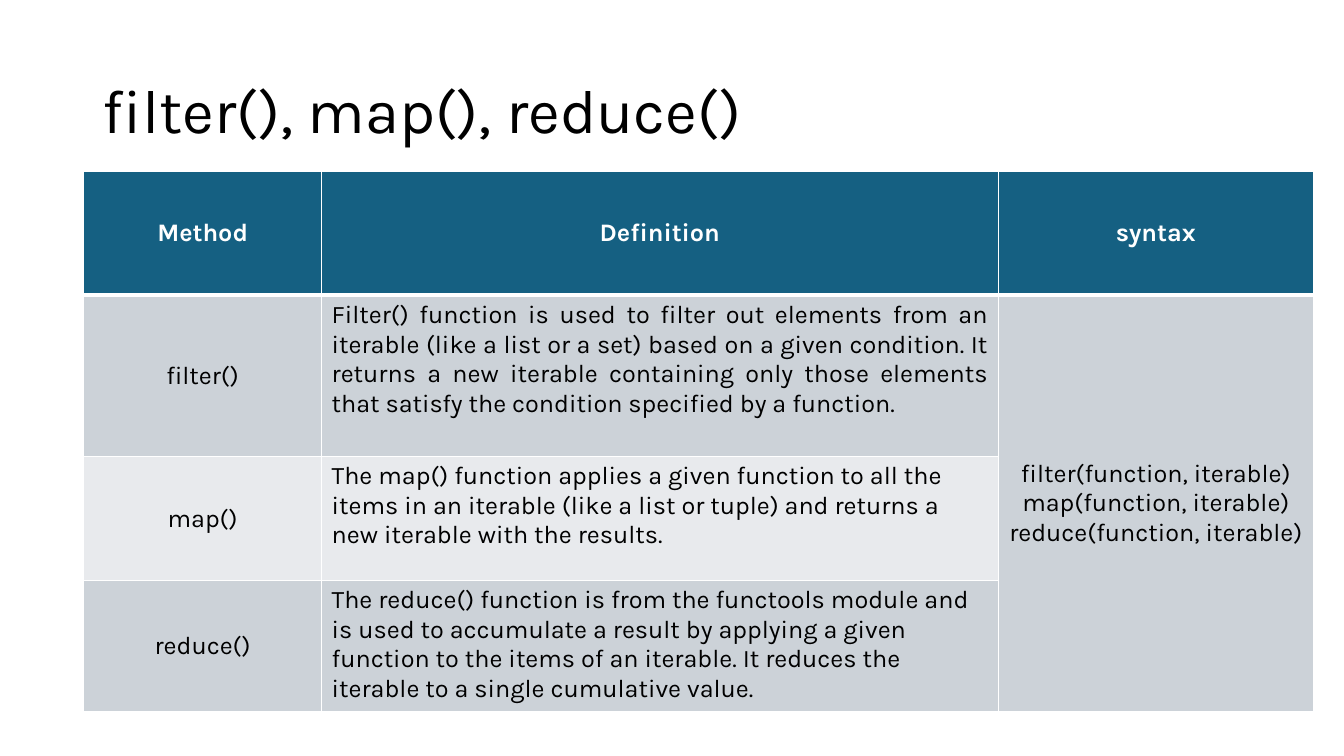
from pptx import Presentation
from pptx.dml.color import RGBColor
from pptx.enum.text import MSO_ANCHOR as Anchor, PP_ALIGN as Align
from pptx.oxml.ns import qn
from pptx.util import Inches, Pt
from lxml.etree import SubElement

FONT = "Karla"
WHITE, BLACK, TEAL = "FFFFFF", "000000", "156082"
BANDS = ("CCD2D8", "E8EAED")
COLUMN_WIDTHS = (2.36, 6.71, 3.13)
ROW_HEIGHTS = (1.23, 1.6, 1.23, 1.27)
HEADINGS = ("Method", "Definition", "syntax")
METHODS = (
    ("filter()",
     "Filter() function is used to filter out elements from an iterable (like a list or a set) "
     "based on a given condition. It returns a new iterable containing only those elements that "
     "satisfy the condition specified by a function.", Align.JUSTIFY),
    ("map()",
     "The map() function applies a given function to all the items in an iterable "
     "(like a list or tuple) and returns a new iterable with the results.", Align.LEFT),
    ("reduce()",
     "The reduce() function is from the functools module and is used to accumulate a result by "
     "applying a given function to the items of an iterable. It reduces the iterable to a single "
     "cumulative value.", Align.LEFT),
)
SYNTAX = "filter(function, iterable)\nmap(function, iterable)\nreduce(function, iterable)"


def rgb(value):
    """Turn a hex string into a colour."""
    return RGBColor.from_string(value)


def write(frame, text, size=18, color=BLACK, bold=False, align=Align.LEFT, spacing=1.0):
    """Fill a text frame with one formatted paragraph per line."""
    frame.text = text
    for paragraph in frame.paragraphs:
        paragraph.alignment = align
        paragraph.line_spacing = spacing
        for run in paragraph.runs:
            run.font.name = FONT
            run.font.size = Pt(size)
            run.font.bold = bold
            run.font.color.rgb = rgb(color)


def style_cell(cell, fill, top=1, bottom=1):
    """Give a cell white borders and a solid fill."""
    properties = cell._tc.get_or_add_tcPr()
    for side, width in (("L", 1), ("R", 1), ("T", top), ("B", bottom)):
        border = SubElement(properties, qn(f"a:ln{side}"), w=str(Pt(width)))
        SubElement(SubElement(border, qn("a:solidFill")), qn("a:srgbClr"), val=WHITE)
    cell.fill.solid()
    cell.fill.fore_color.rgb = rgb(fill)


def write_cell(cell, text, anchor=Anchor.MIDDLE, align=Align.CENTER, **text_format):
    """Write anchored text in a table cell."""
    write(cell.text_frame, text, align=align, **text_format)
    cell.vertical_anchor = anchor


def add_title(slide, left, top, width, height):
    """Place the slide title in the given box."""
    title = slide.shapes.add_textbox(Inches(left), Inches(top), Inches(width), Inches(height))
    title.text_frame.word_wrap = True
    title.text_frame.vertical_anchor = Anchor.MIDDLE
    write(title.text_frame, "filter(), map(), reduce()", size=44, spacing=0.9)


def add_methods_table(slide, left, top, width, height):
    """Place the table of methods in the given box."""
    table = slide.shapes.add_table(len(ROW_HEIGHTS), len(COLUMN_WIDTHS), Inches(left),
                                   Inches(top), Inches(width), Inches(height)).table
    table.horz_banding = False
    for column, share in zip(table.columns, COLUMN_WIDTHS):
        column.width = Inches(width * share / sum(COLUMN_WIDTHS))
    for row, share in zip(table.rows, ROW_HEIGHTS):
        row.height = Inches(height * share / sum(ROW_HEIGHTS))

    for heading_cell, heading in zip(table.rows[0].cells, HEADINGS):
        style_cell(heading_cell, TEAL, bottom=3)
        write_cell(heading_cell, heading, color=WHITE, bold=True)

    for number, (method, definition, align) in enumerate(METHODS, start=1):
        for column in range(len(HEADINGS)):
            band = BANDS[0] if column == 2 else BANDS[(number - 1) % 2]
            style_cell(table.cell(number, column), band, top=3 if number == 1 else 1)
        write_cell(table.cell(number, 0), method)
        write_cell(table.cell(number, 1), definition, anchor=Anchor.TOP, align=align)

    syntax_cell = table.cell(1, 2)
    syntax_cell.merge(table.cell(len(METHODS), 2))
    write_cell(syntax_cell, SYNTAX)


def main():
    """Build and save the presentation."""
    deck = Presentation()
    deck.slide_width, deck.slide_height = Inches(13.33), Inches(7.5)
    slide = deck.slides.add_slide(deck.slide_layouts[6])
    add_title(slide, 0.92, 0.4, 11.5, 1.45)
    add_methods_table(slide, 0.83, 1.7, 12.2, 5.33)
    deck.save("out.pptx")


if __name__ == "__main__":
    main()
